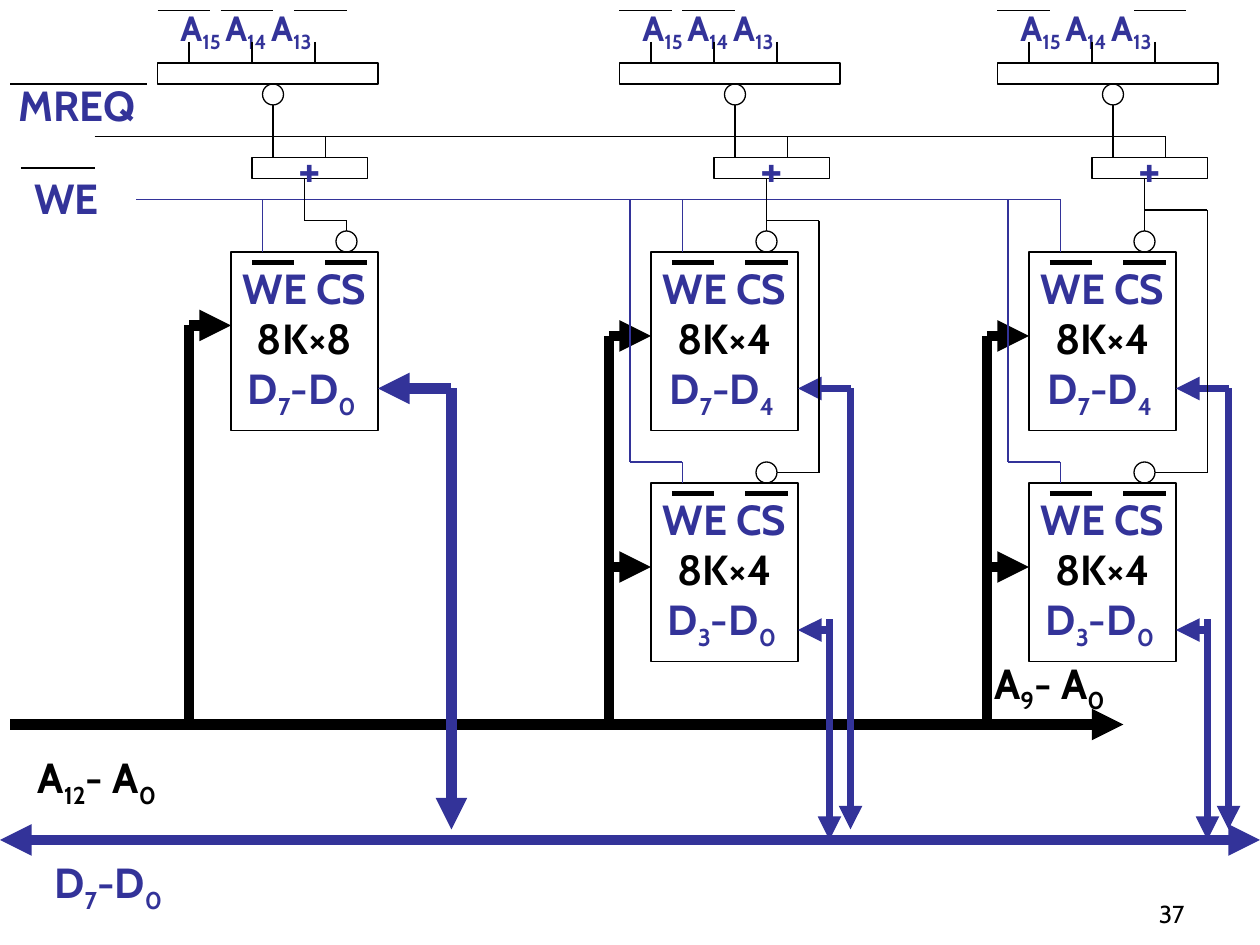
from itertools import pairwise

from lxml.etree import SubElement
from pptx import Presentation
from pptx.dml.color import RGBColor
from pptx.enum.shapes import MSO_CONNECTOR, MSO_SHAPE
from pptx.enum.text import MSO_ANCHOR, MSO_AUTO_SIZE, PP_ALIGN
from pptx.oxml.ns import qn
from pptx.util import Inches, Pt

BLACK = RGBColor(0x00, 0x00, 0x00)
BLUE = RGBColor(0x33, 0x33, 0x99)
FONT = "Cabin"
THIN, BAR, NARROW_BUS, BUS = 0.75, 3, 4.5, 6

# The drawing sits on a grid of 12 cells to the inch.
COLUMNS, ROWS = 120, 90
CHIP_WIDTH, CHIP_HEIGHT = 14, 17
UPPER, LOWER = 24, 46
MREQ_ROW, WE_ROW, ADDRESS_ROW, DATA_ROW = 13, 19, 69, 80

# In every text, "|" switches between normal and subscript.
DECODER_TEXT = "A|15 |A|14 |A|13"
BANKS = [
    {"decoder": 15, "chip": 22, "overlines": (0, 6, 13), "address_row": 31,
     "data": 43, "bus": BUS, "chips": [(UPPER, "8K×8", "D|7|-D|0 ")]},
    {"decoder": 59, "chip": 62, "overlines": (0, 6), "address_row": 32,
     "data": 81, "bus": NARROW_BUS, "select": (21, 78),
     "chips": [(UPPER, "8K×4", "D|7|-D|4 "), (LOWER, "8K×4", "D|3|-D|0 ")]},
    {"decoder": 95, "chip": 98, "overlines": (0, 13), "address_row": 32,
     "data": 117, "bus": NARROW_BUS, "select": (20, 115),
     "chips": [(UPPER, "8K×4", "D|7|-D|4 "), (LOWER, "8K×4", "D|3|-D|0 ")]},
]
# Text, left, top, width, height, colour, wrap
SIGNALS = [
    ("MREQ", 0.6, 7, 14.2, 6, BLUE, False),
    ("WE", 2.1, 15.8, 8.5, 6, BLUE, False),
    ("A|12|- A|0", 2.4, 71, 17.5, 6.7, BLACK, True),
    ("A|9|- A|0", 93.5, 62, 17.5, 6.7, BLACK, True),
    ("D|7|-D|0", 4, 81, 15.6, 6.7, BLUE, True),
]

deck = Presentation()
deck.slide_width, deck.slide_height = Inches(10), Inches(7.5)
page = deck.slides.add_slide(deck.slide_layouts[6])


def cells(*values):
    return [round(value * deck.slide_width / COLUMNS) for value in values]


def wire(*points, color=BLACK, width=THIN, head=False, tail=False):
    """Join the points; arrowheads go on the first and last segment."""
    segments = list(pairwise(points))
    for index, (start, end) in enumerate(segments):
        line = page.shapes.add_connector(MSO_CONNECTOR.STRAIGHT, *cells(*start, *end))
        line.line.color.rgb = color
        line.line.width = Pt(width)
        outline = line.line._get_or_add_ln()
        if head and index == 0:
            SubElement(outline, qn("a:headEnd"), type="triangle")
        if tail and index == len(segments) - 1:
            SubElement(outline, qn("a:tailEnd"), type="triangle")
        SubElement(line._element.spPr, qn("a:effectLst"))


def write(para, text, size, color, bold=True):
    for index, piece in enumerate(text.split("|")):
        span = para.add_run()
        span.text = piece
        span.font.name, span.font.size = FONT, Pt(size)
        span.font.bold = bold
        span.font.color.rgb = color
        if index % 2:
            span._r.get_or_add_rPr().set("baseline", "-25000")


def label(text, left, top, width, height, color, wrap=True, size=24):
    box = page.shapes.add_textbox(*cells(left, top, width, height))
    box.text_frame.word_wrap = wrap
    box.text_frame.auto_size = MSO_AUTO_SIZE.SHAPE_TO_FIT_TEXT
    write(box.text_frame.paragraphs[0], text, size, color)


def outlined(kind, left, top, width, height, lines=(), size=24):
    shape = page.shapes.add_shape(kind, *cells(left, top, width, height))
    shape.shadow.inherit = False
    shape.fill.background()
    shape.line.color.rgb = BLACK
    shape.line.width = Pt(THIN)
    frame = shape.text_frame
    frame.word_wrap = False
    frame.vertical_anchor = MSO_ANCHOR.MIDDLE
    for index, (text, color) in enumerate(lines):
        para = frame.add_paragraph() if index else frame.paragraphs[0]
        para.alignment = PP_ALIGN.CENTER
        write(para, text, size, color)


def bubble(left, top):
    outlined(MSO_SHAPE.OVAL, left, top, 2, 2)


def draw_decoder(left, overlines):
    label(DECODER_TEXT, left + 1, 0, 19, 5.8, BLUE, size=20)
    for offset in overlines:
        wire((left + offset, 1), (left + offset + 5, 1))
    for offset in (3, 9, 15):
        wire((left + offset, 4), (left + offset, 6))
    outlined(MSO_SHAPE.RECTANGLE, left, 6, 21, 2)
    bubble(left + 10, 8)
    # OR gate under the decoder
    wire((left + 11, 10), (left + 11, 15))
    wire((left + 16, MREQ_ROW), (left + 16, 15))
    outlined(MSO_SHAPE.RECTANGLE, left + 9, 15, 11, 2, [("+", BLUE)], size=28)


def draw_chip(left, top, capacity, data):
    outlined(MSO_SHAPE.RECTANGLE, left, top, CHIP_WIDTH, CHIP_HEIGHT,
             [("WE CS", BLUE), (capacity, BLACK), (data, BLUE)])
    for offset in (2, 9):
        wire((left + offset, top + 1), (left + offset + 4, top + 1), width=BAR)
    bubble(left + 10, top - 2)


def draw_bank(bank):
    chip, gate_out, data = bank["chip"], bank["decoder"] + 14, bank["data"]
    right, select, write_enable = chip + CHIP_WIDTH, chip + 11, chip + 3
    draw_decoder(bank["decoder"], bank["overlines"])
    for top, capacity, text in bank["chips"]:
        draw_chip(chip, top, capacity, text)

    # Write enable, address and data of the upper chip
    wire((write_enable, WE_ROW), (write_enable, UPPER), color=BLUE)
    riser, row = chip - 4, bank["address_row"]
    wire((riser, ADDRESS_ROW), (riser, row), (chip, row), width=BUS, tail=True)
    wire((data, 79), (data, 37), (right, 37),
         color=BLUE, width=bank["bus"], head=True, tail=True)

    # Chip select, and the branches to the lower chip
    if "select" not in bank:
        wire((gate_out, 17), (gate_out, 21), (select, 21), (select, 22))
        return
    wire((gate_out, 17), (gate_out, 22))
    branch_row, side = bank["select"]
    wire((gate_out, branch_row), (side, branch_row), (side, 45), (chip + 12, 45))
    wire((chip - 2, WE_ROW), (chip - 2, 44), (write_enable, 44),
         (write_enable, LOWER), color=BLUE)
    wire((riser, 54), (chip, 54), width=BUS, tail=True)
    wire((data - 2, 59), (data - 2, DATA_ROW), color=BLUE, width=bank["bus"], tail=True)
    wire((data - 2, 60), (right, 60), color=BLUE, width=bank["bus"], tail=True)


# Shared buses and control lines
wire((1, ADDRESS_ROW), (107, ADDRESS_ROW), width=BUS, tail=True)
wire((0, DATA_ROW), (COLUMNS, DATA_ROW), color=BLUE, width=BUS, head=True, tail=True)
wire((9, MREQ_ROW), (111, MREQ_ROW))
wire((13, WE_ROW), (101, WE_ROW), color=BLUE)

for bank in BANKS:
    draw_bank(bank)

# Signal names with the overlines of MREQ and WE
for signal in SIGNALS:
    label(*signal)
wire((1, 8), (14, 8))
wire((2, 16), (9, 16))

# Page number
number = page.shapes.add_textbox(*cells(89, 83, 25, 6))
number.text_frame.word_wrap = True
number.text_frame.vertical_anchor = MSO_ANCHOR.BOTTOM
number.text_frame.paragraphs[0].alignment = PP_ALIGN.RIGHT
write(number.text_frame.paragraphs[0], "37", 14, BLACK, bold=False)

deck.save("out.pptx")
